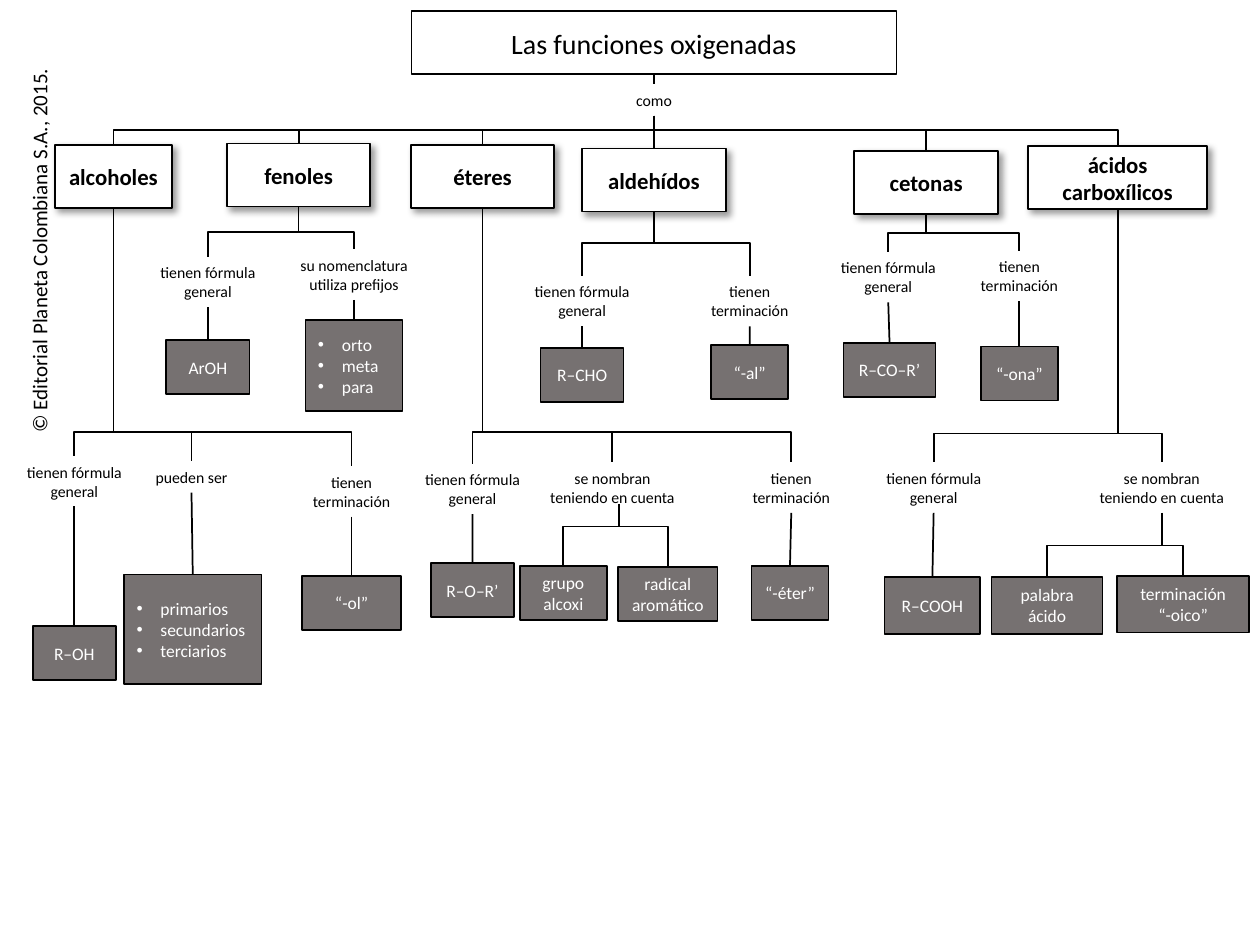
from lxml import etree
from pptx import Presentation
from pptx import util as u
from pptx.dml import color
from pptx.enum import shapes, text
from pptx.oxml import ns

Inches = u.Inches
COLORS = {"white": "FFFFFF", "black": "000000", "gray": "767171"}
FONT = "Calibri"
TOP, BOTTOM = 0, 2  # connection sites of a rectangle
TRUNK_Y = 1.03
FORMULA, ENDING = "tienen fórmula general", "tienen terminación"
NAMING = "se nombran teniendo en cuenta"

# Category: name, centre, top, width, branch line y, branches
# Branch: label, centre, top, width, answers, fork (x, top, line y) or None
# Answer: text, centre, top, width, height
CATEGORIES = [
    ("alcoholes", 0.9, 1.15, 0.93, 3.43, [
        (FORMULA, 0.59, 3.62, 1.14, [("R–OH", 0.59, 4.97, 0.66, 0.43)], None),
        ("pueden ser", 1.52, 3.66, 0.97,
         [("primarios\nsecundarios\nterciarios", 1.53, 4.56, 1.09, 0.87)], None),
        (ENDING, 2.79, 3.7, 0.97, [("“-ol”", 2.79, 4.57, 0.79, 0.43)], None),
    ]),
    ("fenoles", 2.37, 1.14, 1.14, 1.84, [
        (FORMULA, 1.65, 2.04, 1.14, [("ArOH", 1.65, 2.7, 0.66, 0.43)], None),
        ("su nomenclatura utiliza prefijos", 2.81, 1.98, 1.14,
         [("orto\nmeta\npara", 2.81, 2.54, 0.77, 0.72)], None),
    ]),
    ("éteres", 3.83, 1.15, 1.14, 3.43, [
        (FORMULA, 3.75, 3.68, 1.14, [("R–O–R’", 3.75, 4.47, 0.66, 0.43)], None),
        (NAMING, 4.86, 3.67, 1.19,
         [("grupo alcoxi", 4.47, 4.49, 0.69, 0.43),
          ("radical aromático", 5.3, 4.5, 0.79, 0.43)], (4.91, 4, 4.18)),
        (ENDING, 6.28, 3.67, 1.14, [("“-éter”", 6.27, 4.49, 0.61, 0.43)], None),
    ]),
    ("aldehídos", 5.19, 1.18, 1.14, 1.93, [
        (FORMULA, 4.62, 2.19, 1.14, [("R–CHO", 4.62, 2.76, 0.66, 0.43)], None),
        (ENDING, 5.95, 2.19, 1.14, [("“-al”", 5.95, 2.74, 0.61, 0.43)], None),
    ]),
    ("cetonas", 7.35, 1.2, 1.14, 1.85, [
        (FORMULA, 7.05, 2, 1.14, [("R–CO–R’", 7.06, 2.72, 0.73, 0.43)], None),
        (ENDING, 8.09, 1.99, 1.14, [("“-ona”", 8.09, 2.75, 0.61, 0.43)], None),
    ]),
    ("ácidos carboxílicos", 8.87, 1.16, 1.42, 3.44, [
        (FORMULA, 7.41, 3.67, 1.12, [("R–COOH", 7.4, 4.58, 0.76, 0.45)], None),
        (NAMING, 9.22, 3.67, 1.24,
         [("palabra ácido", 8.31, 4.58, 0.88, 0.45),
          ("terminación\n“-oico”", 9.39, 4.57, 1.05, 0.45)], (9.22, 4.07, 4.33)),
    ]),
]


def rgb(name):
    return color.RGBColor.from_string(COLORS[name])


def add_bullet(paragraph):
    properties = paragraph._p.get_or_add_pPr()
    properties.set("marL", str(Inches(0.19)))
    properties.set("indent", str(Inches(-0.19)))
    etree.SubElement(properties, ns.qn("a:buFont"), typeface="Arial")
    etree.SubElement(properties, ns.qn("a:buChar"), char="•")


def write_text(shape, content, size, font_color, bold=False, bulleted=False,
               align=text.PP_ALIGN.CENTER):
    shape.text_frame.text = content
    for paragraph in shape.text_frame.paragraphs:
        if bulleted:
            add_bullet(paragraph)
        paragraph.alignment = text.PP_ALIGN.LEFT if bulleted else align
        for run in paragraph.runs:
            run.font.name = FONT
            run.font.size = u.Pt(size)
            run.font.bold = bold
            run.font.color.rgb = rgb(font_color)


def add_box(slide, content, centre, top, width, height, size, fill, font_color,
            bold=False, bulleted=False):
    shape = slide.shapes.add_shape(
        shapes.MSO_SHAPE.RECTANGLE, Inches(centre - width / 2), Inches(top),
        Inches(width), Inches(height))
    shape.shadow.inherit = False
    shape.fill.solid()
    shape.fill.fore_color.rgb = rgb(fill)
    shape.line.color.rgb = rgb("black")
    shape.line.width = u.Pt(1)
    shape.text_frame.word_wrap = True
    shape.text_frame.vertical_anchor = text.MSO_ANCHOR.MIDDLE
    write_text(shape, content, size, font_color, bold, bulleted)
    return shape


def add_drop_shadow(shape):
    effects = shape._element.spPr.find(ns.qn("a:effectLst"))
    shadow = etree.SubElement(
        effects, ns.qn("a:outerShdw"), blurRad=str(u.Pt(4)), dist=str(u.Pt(3)),
        dir="2700000", algn="tl", rotWithShape="0")
    shade = etree.SubElement(shadow, ns.qn("a:srgbClr"), val=COLORS["black"])
    etree.SubElement(shade, ns.qn("a:alpha"), val="40000")


def add_label(slide, content, centre, top, width):
    height = 0.4 if len(content) > 10 else 0.25
    label = slide.shapes.add_textbox(
        Inches(centre - width / 2), Inches(top), Inches(width), Inches(height))
    label.text_frame.word_wrap = True
    write_text(label, content, 9, "black")
    return label


def style_connector(connector):
    connector.line.color.rgb = rgb("black")
    connector.line.width = u.Pt(1)
    etree.SubElement(connector._element.spPr, ns.qn("a:effectLst"))


def add_stem(slide, upper, lower):
    """Straight line from the bottom of one shape to the top of another."""
    connector = slide.shapes.add_connector(shapes.MSO_CONNECTOR.STRAIGHT, 0, 0, 0, 0)
    connector.begin_connect(upper, BOTTOM)
    connector.end_connect(lower, TOP)
    style_connector(connector)


def add_elbow(slide, start, end, turn_y):
    """Line that goes down, turns sideways at turn_y and goes down again."""
    (start_x, start_y), (end_x, end_y) = start, end
    drop, shift = end_y - start_y, abs(end_x - start_x)
    left = (start_x + end_x - drop) / 2
    top = (start_y + end_y - shift) / 2
    connector = slide.shapes.add_connector(
        shapes.MSO_CONNECTOR.ELBOW, Inches(left), Inches(top),
        Inches(left + drop), Inches(top + shift))
    # A quarter turn makes the elbow leave vertically
    frame = connector._element.spPr.find(ns.qn("a:xfrm"))
    if end_x > start_x:
        frame.set("rot", "16200000")
        frame.set("flipH", "1")
    else:
        frame.set("rot", "5400000")
    geometry = connector._element.spPr.find(ns.qn("a:prstGeom"))
    guides = geometry.find(ns.qn("a:avLst"))
    ratio = round((turn_y - start_y) / drop * 100000)
    etree.SubElement(guides, ns.qn("a:gd"), name="adj1", fmla=f"val {ratio}")
    style_connector(connector)


def add_branch(slide, label_text, centre, top, width, answers, fork):
    label = add_label(slide, label_text, centre, top, width)
    for content, answer_centre, answer_top, answer_width, height in answers:
        box = add_box(slide, content, answer_centre, answer_top, answer_width, height,
                      10, "gray", "white", bulleted=content.count("\n") == 2)
        if fork:
            add_elbow(slide, fork[:2], (answer_centre, answer_top), fork[2])
        else:
            add_stem(slide, label, box)


def add_category(slide, link, name, centre, top, width, branch_y, branches):
    height = 0.5
    box = add_box(slide, name, centre, top, width, height, 13, "white", "black", bold=True)
    add_drop_shadow(box)
    link_x, link_y = 5.19, 0.92
    if centre == link_x:
        add_stem(slide, link, box)
    else:
        add_elbow(slide, (link_x, link_y), (centre, top), TRUNK_Y)
    for branch in branches:
        add_elbow(slide, (centre, top + height), branch[1:3], branch_y)
        add_branch(slide, *branch)


def add_copyright(slide):
    box = slide.shapes.add_textbox(Inches(-1.25), Inches(1.82), Inches(3.12), Inches(0.3))
    box.rotation = 270
    box.text_frame.word_wrap = False
    write_text(box, "© Editorial Planeta Colombiana S.A., 2015.", 12, "black",
               align=text.PP_ALIGN.LEFT)


def main():
    presentation = Presentation()
    presentation.slide_width, presentation.slide_height = Inches(10), Inches(7.5)
    slide = presentation.slides.add_slide(presentation.slide_layouts[6])
    add_copyright(slide)

    # Title and linking word
    title = add_box(slide, "Las funciones oxigenadas", 5.19, 0.09, 3.85, 0.5,
                    16, "white", "black")
    link = add_label(slide, "como", 5.19, 0.67, 0.58)
    add_stem(slide, title, link)

    # Concept tree
    for category in CATEGORIES:
        add_category(slide, link, *category)

    presentation.save("out.pptx")


if __name__ == "__main__":
    main()
